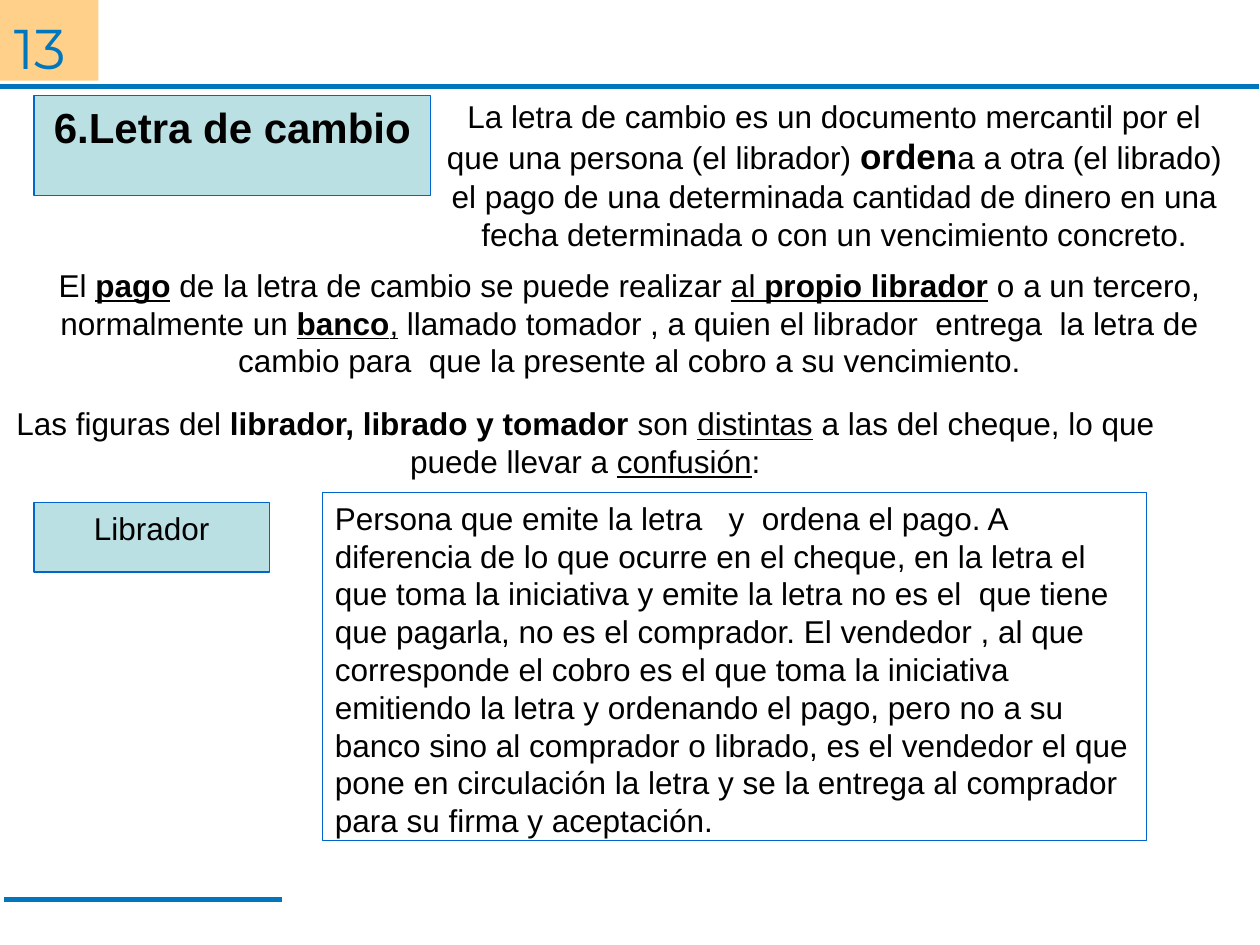
import pptx
import pptx.util
import pptx.dml.color
import pptx.enum.shapes
import pptx.enum.text
import pptx.oxml.ns
import lxml.etree

Pt = pptx.util.Pt
ALIGN = pptx.enum.text.PP_ALIGN
SHAPE = pptx.enum.shapes.MSO_SHAPE

COLORS = {"rule": "0077BD", "badge": "FF9900", "label": "BBE0E3",
          "border": "0066CC", "text": "000000"}
BADGE_OPACITY = 46

RULES = [((0, 49.3), (719.3, 49.3)), ((2.2, 514), (161.3, 514))]

BADGE = ((0, 0, 56.2, 46.1), "13")

# Each run: text, style letters (b bold, u underline), size
PARAGRAPHS = [
    ((247, 54.7, 459.4, 90.7), [
        ("La letra de cambio es un documento mercantil por el que una persona (el librador) ", "", 18),
        ("orden", "b", 20),
        ("a a otra (el librado) el pago de una determinada cantidad de dinero en una "
         "fecha determinada o con un vencimiento concreto.", "", 18)]),
    ((25.2, 151.2, 668.9, 66.2), [
        ("El ", "", 18),
        ("pago", "bu", 18),
        (" de la letra de cambio se puede realizar ", "", 18),
        ("al ", "u", 18),
        ("propio librador", "bu", 18),
        (" o a un tercero, normalmente un ", "", 18),
        ("banco", "bu", 18),
        (",", "u", 18),
        (" llamado tomador , a quien el librador  entrega  la letra de cambio para  "
         "que la presente al cobro a su vencimiento.", "", 18)]),
    ((0, 230.4, 668.9, 44.6), [
        ("Las figuras del ", "", 18),
        ("librador, librado y tomador", "b", 18),
        (" son ", "", 18),
        ("distintas", "u", 18),
        (" a las del cheque, lo que puede llevar a ", "", 18),
        ("confusión", "u", 18),
        (":", "", 18)]),
]

PANELS = [
    ((19.4, 54.7, 226.8, 56.9), "label", ALIGN.CENTER, [("6.Letra de cambio", "b", 24)]),
    ((19.4, 287.3, 134.6, 39.6), "label", ALIGN.CENTER, [("Librador", "", 18)]),
    ((184.3, 281.5, 470.9, 198.7), None, ALIGN.LEFT, [
        ("Persona que emite la letra   y  ordena el pago. A diferencia de lo que ocurre en el "
         "cheque, en la letra el que toma la iniciativa y emite la letra no es el  que tiene "
         "que pagarla, no es el comprador. El vendedor , al que  corresponde el cobro es el que "
         "toma la iniciativa emitiendo la letra y ordenando el pago, pero no a su banco sino al "
         "comprador o librado, es el vendedor el que pone en circulación la letra y se la "
         "entrega al comprador para su firma y aceptación.", "", 18)]),
]


def color(name):
    return pptx.dml.color.RGBColor.from_string(COLORS[name])


def points(values):
    return [Pt(value) for value in values]


def write(shape, runs, align, side, edge, font="Arial", ink="text"):
    frame = shape.text_frame
    frame.word_wrap = True
    frame.vertical_anchor = pptx.enum.text.MSO_ANCHOR.TOP
    frame.margin_left = frame.margin_right = Pt(side)
    frame.margin_top = frame.margin_bottom = Pt(edge)
    para = frame.paragraphs[0]
    para.alignment = align
    for text, style, size in runs:
        span = para.add_run()
        span.text = text
        span.font.name = font
        span.font.size = Pt(size)
        span.font.bold = "b" in style
        span.font.underline = "u" in style
        span.font.color.rgb = color(ink)
    return para


def add_rule(page, start, end):
    rule = page.shapes.add_connector(
        pptx.enum.shapes.MSO_CONNECTOR.STRAIGHT, *points(start + end))
    rule.line.color.rgb = color("rule")
    rule.line.width = Pt(2.75)
    lxml.etree.SubElement(rule._element.spPr, pptx.oxml.ns.qn("a:effectLst"))


def add_badge(page, place, number):
    badge = page.shapes.add_shape(SHAPE.RECTANGLE, *points(place))
    badge.shadow.inherit = False
    badge.fill.solid()
    badge.fill.fore_color.rgb = color("badge")
    tint = badge._element.spPr.find(".//" + pptx.oxml.ns.qn("a:srgbClr"))
    lxml.etree.SubElement(tint, pptx.oxml.ns.qn("a:alpha"), val=str(BADGE_OPACITY * 1000))
    badge.line.fill.background()
    para = write(badge, [(number, "", 32)], ALIGN.LEFT, 0, 0, "Montserrat", "rule")
    badge.text_frame.margin_left = Pt(8)
    para.line_spacing = 1.2


def add_paragraph(page, place, runs):
    box = page.shapes.add_textbox(*points(place))
    write(box, runs, ALIGN.CENTER, 7.2, 0.7)
    box.text_frame.auto_size = pptx.enum.text.MSO_AUTO_SIZE.SHAPE_TO_FIT_TEXT


def add_panel(page, place, fill, align, runs):
    panel = page.shapes.add_shape(SHAPE.FLOWCHART_PROCESS, *points(place))
    panel.shadow.inherit = False
    if fill:
        panel.fill.solid()
        panel.fill.fore_color.rgb = color(fill)
    else:
        panel.fill.background()
    panel.line.color.rgb = color("border")
    panel.line.width = Pt(0.75)
    write(panel, runs, align, 7.2, 3.6)


def main():
    deck = pptx.Presentation()
    deck.slide_width, deck.slide_height = Pt(720), Pt(540)
    page = deck.slides.add_slide(deck.slide_layouts[6])
    for start, end in RULES:
        add_rule(page, start, end)
    add_badge(page, *BADGE)
    for place, runs in PARAGRAPHS:
        add_paragraph(page, place, runs)
    for panel in PANELS:
        add_panel(page, *panel)
    deck.save("out.pptx")


if __name__ == "__main__":
    main()
